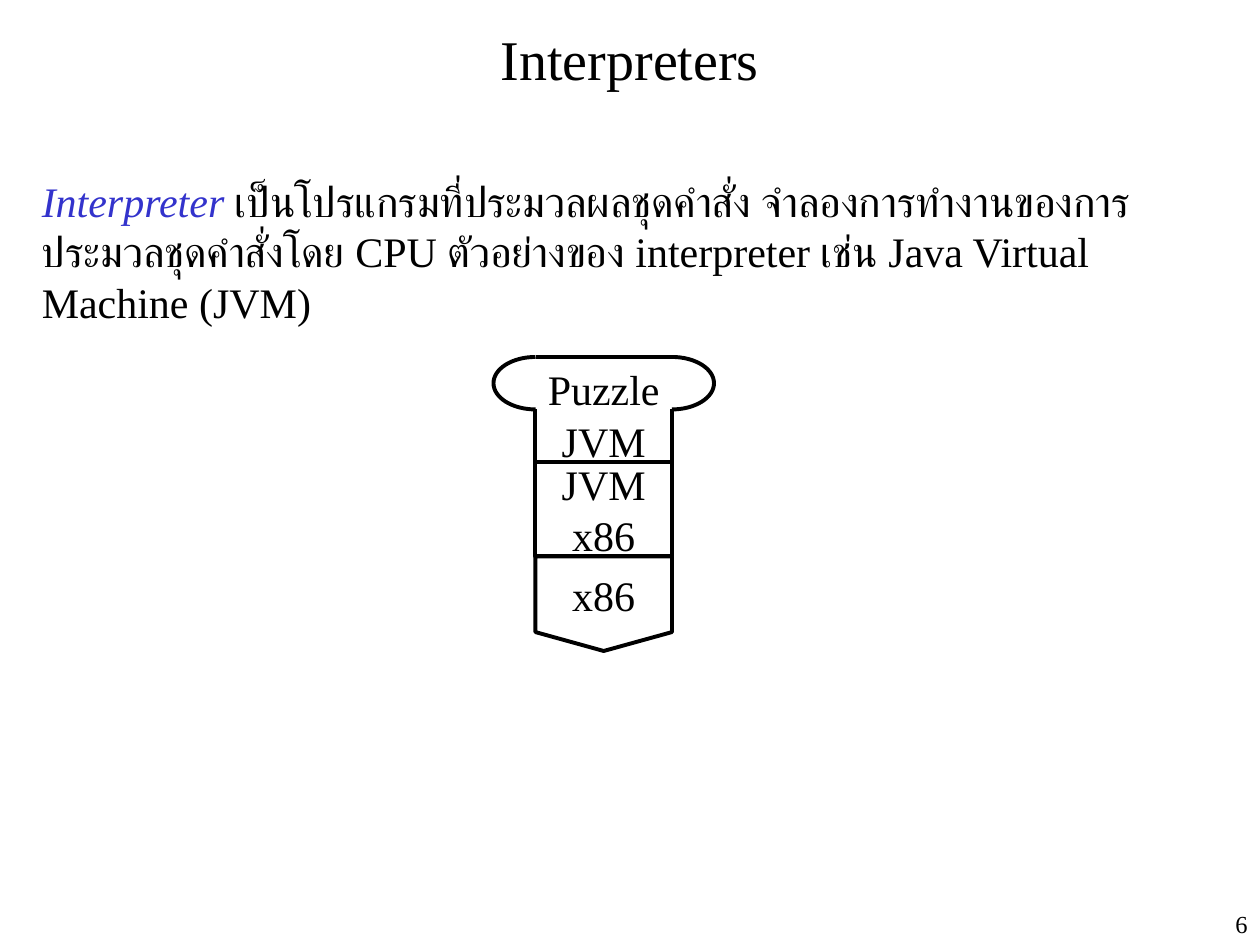
"""Slide on interpreters: a definition above a stacked program, interpreter and machine diagram."""
import math
from dataclasses import dataclass

from pptx import Presentation
from pptx import util as u
from pptx.dml.color import RGBColor
from pptx.enum import shapes, text
from pptx.oxml.ns import qn
from lxml import etree

COLORS = {"ink": "000000", "paper": "FFFFFF", "term": "3333CC"}
FONT = "Times New Roman"
COLS, ROWS = 120, 90
W, H = u.Inches(10), u.Inches(7.5)
LEFT, RIGHT, TOP, NECK, FOOT = 51, 64, 34, 39, 44
BULGE, BLOCK = 4, 9


@dataclass(frozen=True)
class Box:
    col: float
    row: float
    cols: float
    rows: float

    def emu(self) -> tuple:
        return point(self.col, self.row) + point(self.cols, self.rows)


@dataclass(frozen=True)
class Label:
    box: Box
    words: str
    size: int = 24
    align: text.PP_ALIGN = text.PP_ALIGN.CENTER
    anchor: text.MSO_ANCHOR = text.MSO_ANCHOR.TOP


@dataclass(frozen=True)
class Block:
    box: Box
    kind: shapes.MSO_SHAPE
    lines: tuple


def point(col: float, row: float) -> tuple:
    return round(col * W / COLS), round(row * H / ROWS)


def rgb(name: str) -> RGBColor:
    return RGBColor.from_string(COLORS[name])


def style(p, size: int, align) -> None:
    p.alignment = align
    p.font.name, p.font.size = FONT, u.Pt(size)
    p.font.color.rgb = rgb("ink")


def outline(sp) -> None:
    sp.line.color.rgb = rgb("ink")
    sp.line.width = u.Pt(2.25)


def add_label(parent, label: Label):
    tf = parent.add_textbox(*label.box.emu()).text_frame
    tf.word_wrap = True
    tf.vertical_anchor = label.anchor
    p = tf.paragraphs[0]
    p.text = label.words
    style(p, label.size, label.align)
    return p


def add_block(parent, block: Block) -> None:
    sp = parent.add_shape(block.kind, *block.box.emu())
    sp.shadow.inherit = False
    sp.fill.solid()
    sp.fill.fore_color.rgb = rgb("paper")
    outline(sp)
    tf = sp.text_frame
    tf.word_wrap = False
    tf.vertical_anchor = text.MSO_ANCHOR.MIDDLE
    tf.text = "\n".join(block.lines)
    for p in tf.paragraphs:
        style(p, 24, text.PP_ALIGN.CENTER)


def add_path(parent, points: list) -> None:
    start, *rest = [point(*xy) for xy in points]
    builder = parent.build_freeform(*start)
    builder.add_line_segments(rest, close=False)
    sp = builder.convert_to_shape()
    sp.shadow.inherit = False
    sp.fill.background()
    outline(sp)


def half_ellipse(col: float, reach: float, steps: int = 32) -> list:
    radius = (NECK - TOP) / 2
    angles = [math.pi * i / steps for i in range(steps + 1)]
    return [(col + reach * math.sin(a), TOP + radius * (1 + math.cos(a))) for a in angles]


def add_program(s) -> None:
    parent = s.shapes.add_group_shape().shapes
    line = parent.add_connector(shapes.MSO_CONNECTOR.STRAIGHT, *point(LEFT, TOP), *point(RIGHT, TOP))
    outline(line)
    etree.SubElement(line._element.spPr, qn("a:effectLst"))
    add_path(parent, half_ellipse(LEFT, -BULGE))
    add_path(parent, half_ellipse(RIGHT, BULGE))
    add_path(parent, [(LEFT, NECK), (LEFT, FOOT), (RIGHT, FOOT), (RIGHT, NECK)])
    width = RIGHT - LEFT
    add_label(parent, Label(Box(LEFT, NECK, width, 6), "JVM"))
    add_label(parent, Label(Box(LEFT - BULGE, TOP, width + 2 * BULGE, 6), "Puzzle"))


def main() -> None:
    prs = Presentation()
    prs.slide_width, prs.slide_height = W, H
    s = prs.slides.add_slide(prs.slide_layouts[6])
    add_label(s.shapes, Label(Box(111, 86, 9, 4), "6", 14, text.PP_ALIGN.RIGHT))
    add_label(s.shapes, Label(Box(3, 1, 114, 9), "Interpreters", 32, anchor=text.MSO_ANCHOR.MIDDLE))
    p = add_label(s.shapes, Label(Box(2.8, 16.1, 115.2, 15.6), "Interpreter ", align=text.PP_ALIGN.LEFT))
    term = p.runs[0].font
    term.italic = True
    term.color.rgb = rgb("term")
    r = p.add_run()
    r.text = ("เป็นโปรแกรมที่ประมวลผลชุดคำสั่ง จำลองการทำงานของการประมวลชุดคำสั่งโดย CPU "
              "ตัวอย่างของ interpreter เช่น Java Virtual Machine (JVM)")
    stack = [(shapes.MSO_SHAPE.RECTANGLE, ("JVM", "x86")),
             (shapes.MSO_SHAPE.FLOWCHART_OFFPAGE_CONNECTOR, ("x86",))]
    for i, (kind, lines) in enumerate(stack):
        add_block(s.shapes, Block(Box(LEFT, FOOT + i * BLOCK, RIGHT - LEFT, BLOCK), kind, lines))
    add_program(s)
    prs.save("out.pptx")


if __name__ == "__main__":
    main()
